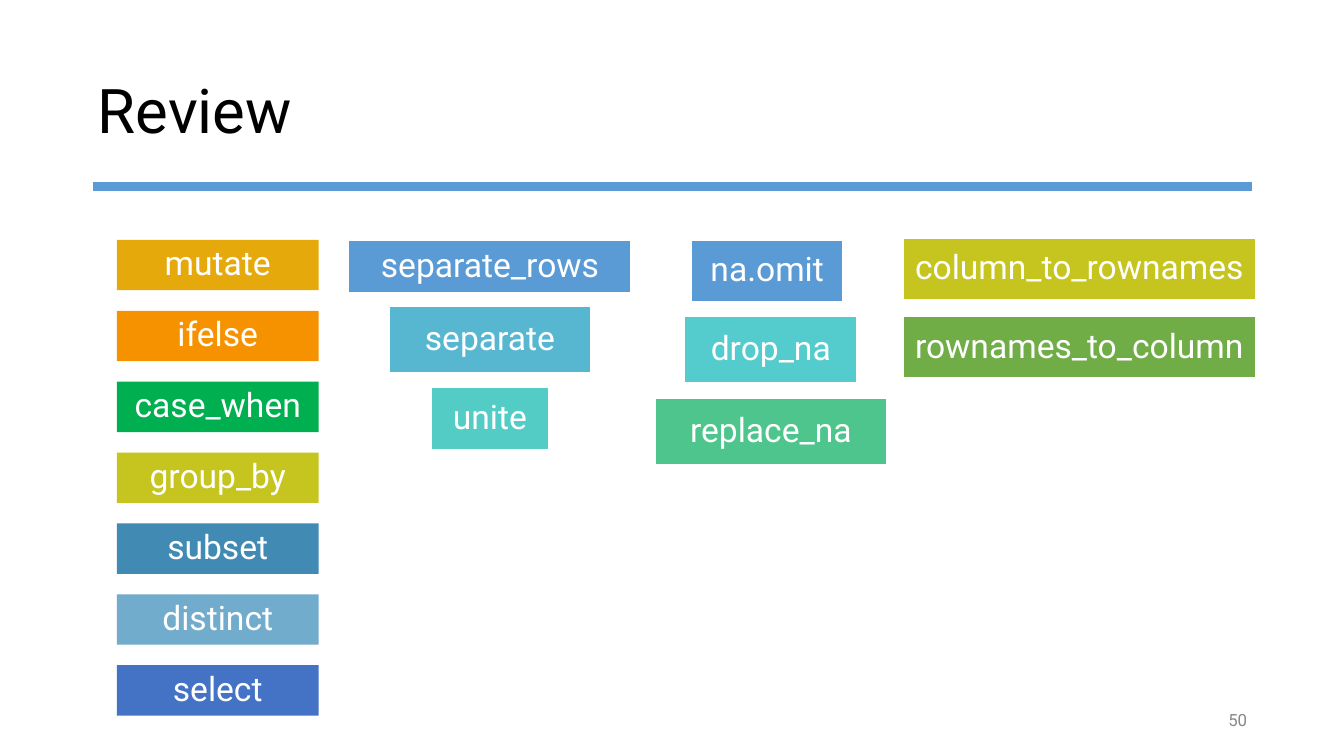
from lxml import etree
from pptx import Presentation
from pptx.dml.color import RGBColor
from pptx.enum import shapes, text
from pptx.oxml import ns
from pptx.util import Inches, Pt

FONT = "Roboto"
TILE_HEIGHT = 0.5
# Each column: its box (left, top, width, height), whether tiles have a white
# outline, and its tiles (name, fill, indent from the left, width, height).
COLUMNS = [
    ((1.16, 2.38, 2, 4.72), False, [
        (name, fill, 0, 2, TILE_HEIGHT) for name, fill in [
            ("mutate", "E5A90B"),
            ("ifelse", "F69200"),
            ("case_when", "00B050"),
            ("group_by", "C6C41E"),
            ("subset", "418AB3"),
            ("distinct", "72ACCC"),
            ("select", "4472C4"),
        ]
    ]),
    ((3.46, 2.38, 2.8, 2.08), True, [
        ("separate_rows", "5B9BD5", 0, 2.8, 0.52),
        ("separate", "57B7D1", 0.4, 2, 0.66),
        ("unite", "53CCC5", 0.82, 1.16, 0.62),
    ]),
    ((6.5, 2.38, 2.29, 2.23), True, [
        ("na.omit", "5B9BD5", 0.36, 1.5, 0.61),
        ("drop_na", "54CCCD", 0.29, 1.71, 0.66),
        ("replace_na", "4DC58D", 0, 2.29, 0.66),
    ]),
    ((8.96, 2.36, 3.49, 1.39), True, [
        ("column_to_rownames", "C6C41E", 0, 3.49, 0.61),
        ("rownames_to_column", "70AD47", 0, 3.49, 0.61),
    ]),
]


def color(hex_string):
    return RGBColor.from_string(hex_string)


def write(shape, words, size, fill, align, inset=0.05, spacing=1.0, wrap=True):
    """Fill a shape with one vertically centred paragraph."""
    frame = shape.text_frame
    frame_format = {
        "word_wrap": wrap,
        "vertical_anchor": text.MSO_ANCHOR.MIDDLE,
        **{f"margin_{side}": Inches(inset) for side in ("left", "top", "right", "bottom")},
    }
    for name, value in frame_format.items():
        setattr(frame, name, value)
    paragraph = frame.paragraphs[0]
    paragraph.alignment = align
    paragraph.line_spacing = spacing
    run = paragraph.add_run()
    run.text = words
    for name, value in {"name": FONT, "size": Pt(size)}.items():
        setattr(run.font, name, value)
    run.font.color.rgb = color(fill)


def add_header(slide, left, top, width, height):
    """Place the title with a rule along the bottom of its box."""
    title = slide.shapes.add_textbox(*map(Inches, (left, top, width, height)))
    write(title, "Review", 44, "000000", text.PP_ALIGN.LEFT, spacing=0.9)
    bottom = top + height
    rule = slide.shapes.add_connector(
        shapes.MSO_CONNECTOR.STRAIGHT,
        *map(Inches, (left, bottom, left + width, bottom)))
    rule.line.color.rgb = color("5B9BD5")
    rule.line.width = Pt(6)
    etree.SubElement(rule.line._get_or_add_ln().getparent(), ns.qn("a:effectLst"))


def add_tile(slide, box, name, fill, outlined):
    tile = slide.shapes.add_shape(shapes.MSO_SHAPE.RECTANGLE, *map(Inches, box))
    tile.shadow.inherit = False
    tile.fill.solid()
    tile.fill.fore_color.rgb = color(fill)
    if outlined:
        tile.line.color.rgb = color("FFFFFF")
        tile.line.width = Pt(1)
    else:
        tile.line.fill.background()
    write(tile, name, 24, "FFFFFF", text.PP_ALIGN.CENTER, inset=0.06, spacing=0.9)


def add_column(slide, box, outlined, tiles):
    """Stack tiles with equal gaps so that they span the height of the box."""
    left, top, _, height = box
    gap = (height - sum(tile[-1] for tile in tiles)) / (len(tiles) - 1)
    for name, fill, indent, tile_width, tile_height in tiles:
        add_tile(slide, (left + indent, top, tile_width, tile_height), name, fill, outlined)
        top += tile_height + gap


def add_page_number(slide, left, top, width, height):
    number = slide.shapes.add_textbox(*map(Inches, (left, top, width, height)))
    write(number, "50", 12, "888888", text.PP_ALIGN.RIGHT, wrap=False)


def main():
    presentation = Presentation()
    presentation.slide_width = Inches(13.33)
    presentation.slide_height = Inches(7.5)
    slide = presentation.slides.add_slide(presentation.slide_layouts[6])
    add_header(slide, 0.92, 0.4, 11.5, 1.45)
    for box, outlined, tiles in COLUMNS:
        add_column(slide, box, outlined, tiles)
    add_page_number(slide, 12.12, 7, 0.3, 0.29)
    presentation.save("out.pptx")


if __name__ == "__main__":
    main()
